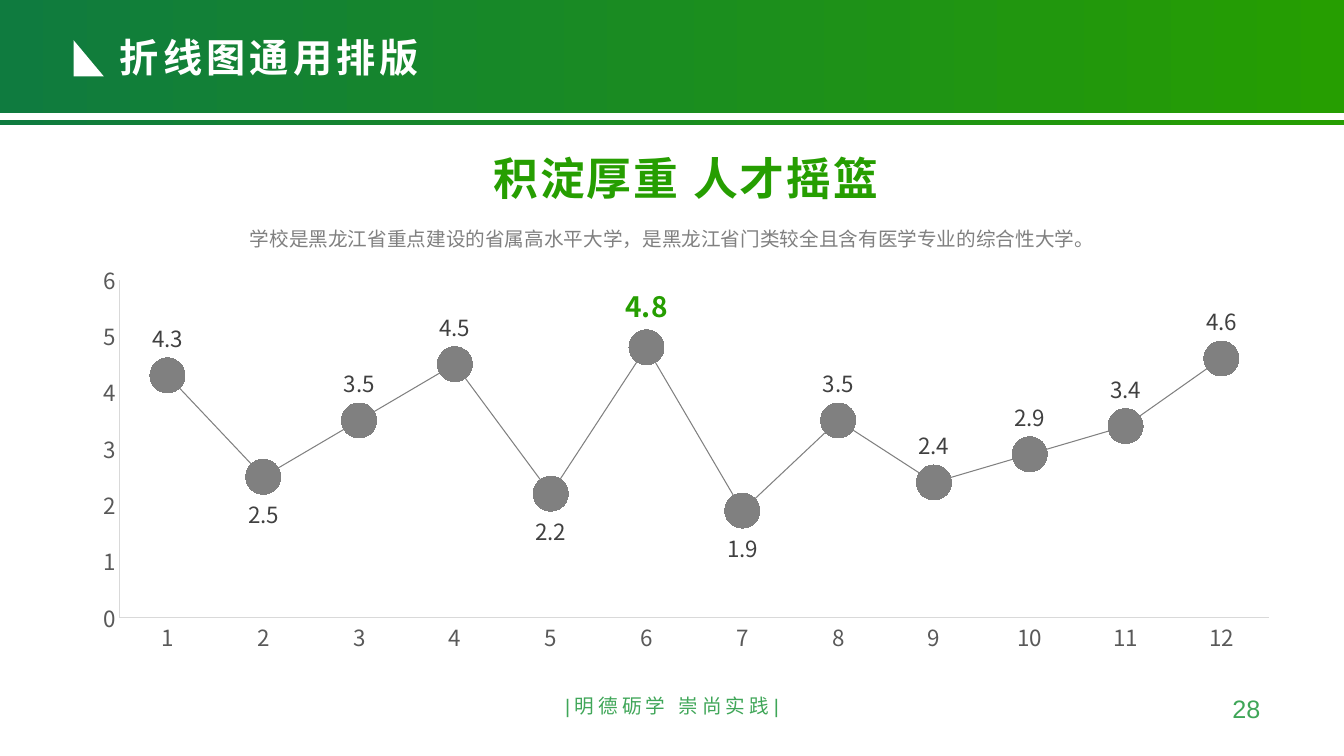
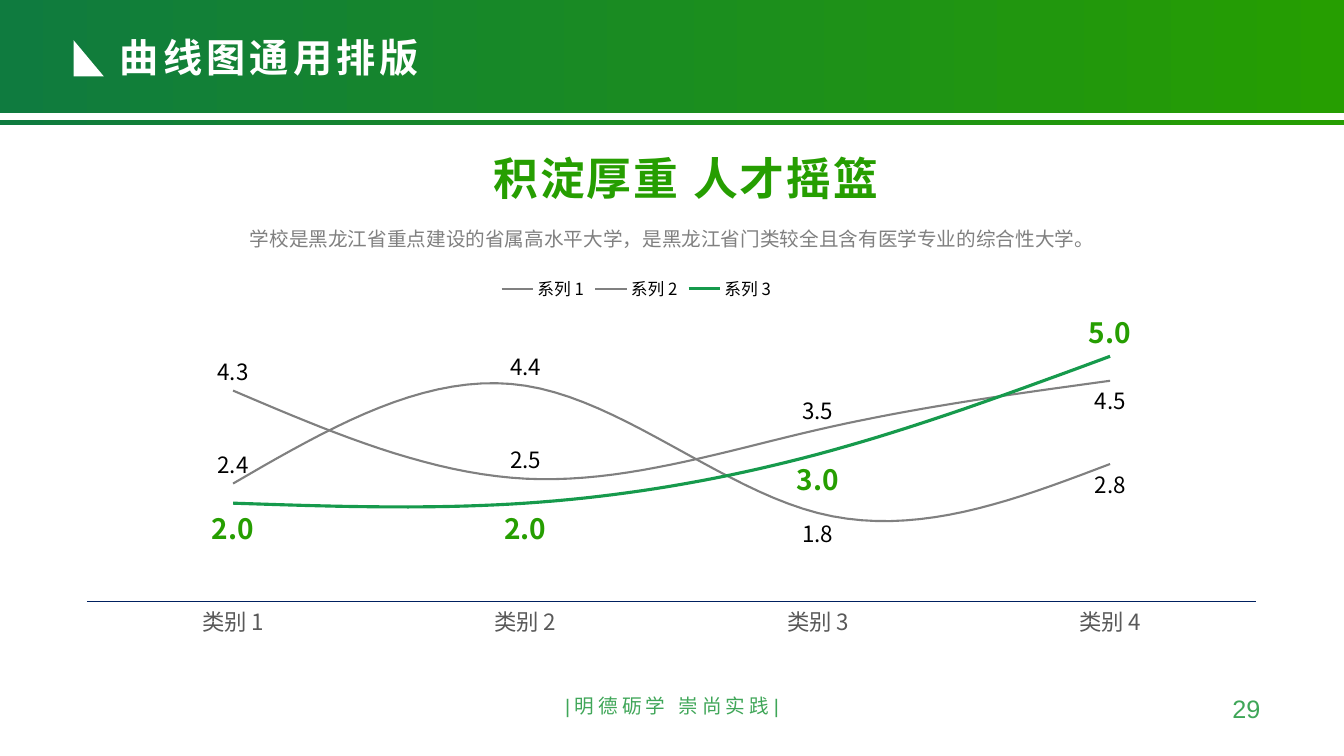
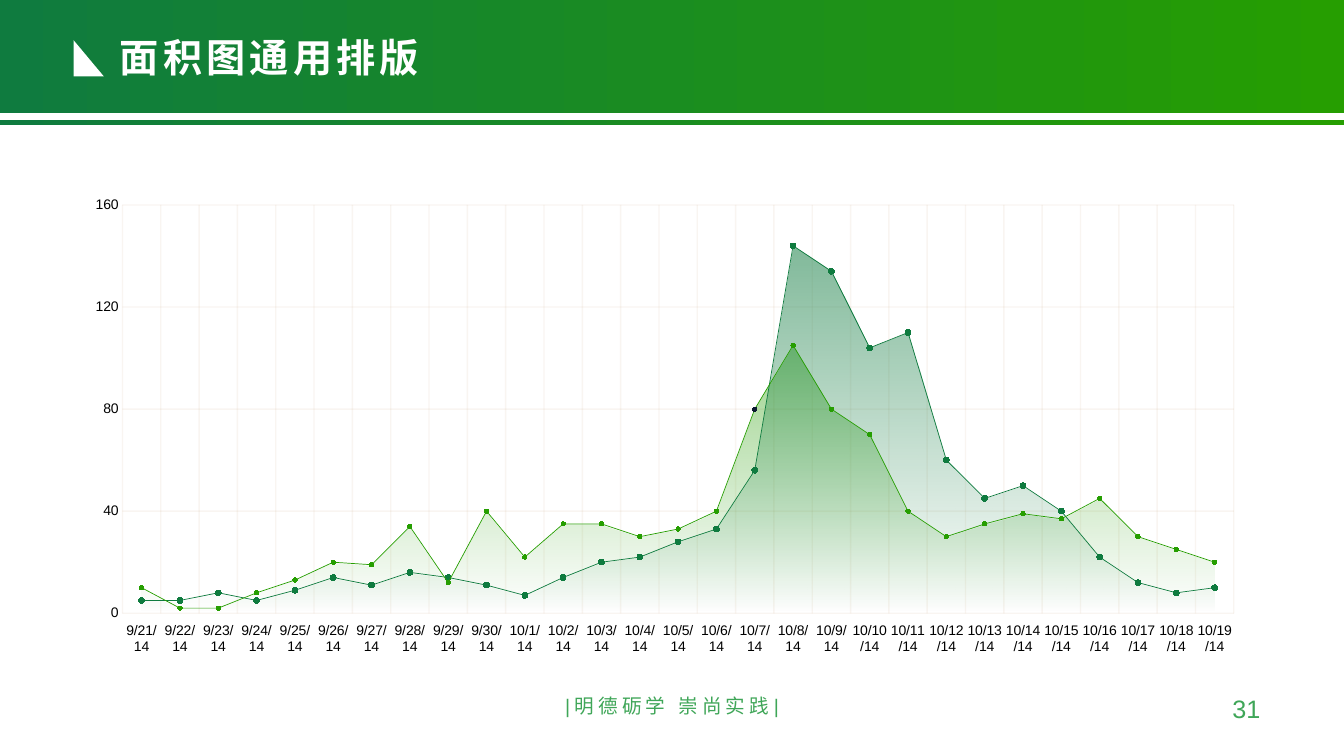
import copy
from dataclasses import dataclass

import pptx
import pptx.chart.data
import pptx.dml.color
import pptx.enum.chart
import pptx.enum.shapes
import pptx.enum.text
import pptx.oxml
import pptx.oxml.ns
import pptx.util
from lxml import etree
from pptx.util import Cm, Pt

qn = pptx.oxml.ns.qn
ABOVE = pptx.enum.chart.XL_LABEL_POSITION.ABOVE
BELOW = pptx.enum.chart.XL_LABEL_POSITION.BELOW
LINE = pptx.enum.chart.XL_CHART_TYPE.LINE
LINE_MARKERS = pptx.enum.chart.XL_CHART_TYPE.LINE_MARKERS
LEFT = pptx.enum.text.PP_ALIGN.LEFT
CENTER = pptx.enum.text.PP_ALIGN.CENTER
RIGHT = pptx.enum.text.PP_ALIGN.RIGHT


@dataclass(frozen=True)
class Theme:
    lime: str = "269E01"
    forest: str = "0F7B3F"
    curve: str = "169A4C"
    footer: str = "3FA658"
    gray: str = "808080"
    label: str = "404040"
    tick: str = "595959"
    rule: str = "D9D9D9"
    navy: str = "002060"
    grid: str = "C5A078"
    black: str = "000000"
    white: str = "FFFFFF"
    pale_blue: str = "7FAED6"
    dark_dot: str = "0B1A30"
    sans: str = "Noto Sans CJK SC"
    latin: str = "Arial"
    headline_size: int = 32
    title_size: int = 28
    accent_size: int = 20
    number_size: int = 18
    chart_size: int = 16
    body_size: int = 14
    legend_size: int = 12
    small_size: int = 10


THEME = Theme()

SLIDE_SIZE = (33.87, 19.05)
BAND_BOX = (0, 0, SLIDE_SIZE[0], 2.85)
STRIPE_BOX = (0, 3.02, SLIDE_SIZE[0], 0.13)
TRIANGLE_BOX = (1.78, 1.09, 0.91, 0.76)
TITLE_BOX = (3.02, 0.84, 22.15, 1.19)
HEADLINE_BOX = (11.71, 3.63, 10.44, 1.68)
SUBTITLE_BOX = (6.2, 5.41, 21.49, 1.14)
MOTTO_BOX = (11.22, 17.35, 11.43, 1.02)
NUMBER_BOX = (23.93, 17.35, 8.08, 1.02)

HEADLINE = "积淀厚重 人才摇篮"
SUBTITLE = "学校是黑龙江省重点建设的省属高水平大学，是黑龙江省门类较全且含有医学专业的综合性大学。"
MOTTO = "|明德砺学 崇尚实践|"

MONTHS = [str(month) for month in range(1, 13)]
MONTHLY = [("Series 1", [4.3, 2.5, 3.5, 4.5, 2.2, 4.8, 1.9, 3.5, 2.4, 2.9, 3.4, 4.6])]
MONTHLY_LOWS = (1, 4, 6)
MONTHLY_PEAK = 5

CATEGORIES = [f"类别 {number}" for number in range(1, 5)]
CURVES = [
    ("系列 1", [4.3, 2.5, 3.5, 4.5]),
    ("系列 2", [2.4, 4.4, 1.8, 2.8]),
    ("系列 3", [2, 2, 3, 5]),
]
# colour, line width, label colour, label size, bold, usual label side, points on the other side
CURVE_STYLES = [
    (THEME.gray, 1.5, THEME.black, THEME.chart_size, False, ABOVE, (3,)),
    (THEME.gray, 1.5, THEME.black, THEME.chart_size, False, ABOVE, (2, 3)),
    (THEME.curve, 2.25, THEME.lime, THEME.accent_size, True, BELOW, (3,)),
]

DATES = [f"9/{day}/14" for day in range(21, 31)] + [f"10/{day}/14" for day in range(1, 20)]
FOREST_VALUES = [5, 5, 8, 5, 9, 14, 11, 16, 14, 11, 7, 14, 20, 22, 28, 33, 56, 144, 134, 104,
                 110, 60, 45, 50, 40, 22, 12, 8, 10]
LIME_VALUES = [10, 2, 2, 8, 13, 20, 19, 34, 12, 40, 22, 35, 35, 30, 33, 40, 80, 105, 80, 70,
               40, 30, 35, 39, 37, 45, 30, 25, 20]
DAILY = [("Series 1", FOREST_VALUES), ("Series 2", LIME_VALUES),
         ("Series 3", FOREST_VALUES), ("Series 4", LIME_VALUES)]
AREA_STYLES = [(THEME.forest, 53), (THEME.lime, 45)]
OUTLINE_STYLES = [(THEME.forest, THEME.forest, 4), (THEME.lime, THEME.pale_blue, 3)]
DARK_POINT = DATES.index("10/7/14")


def rgb(color):
    return pptx.dml.color.RGBColor.from_string(color)


def cm_box(box):
    return [Cm(length) for length in box]


def set_font(font, size, color=None, bold=False, name=THEME.sans, spacing=0):
    font.name, font.size, font.bold = name, Pt(size), bold
    if color:
        font.color.rgb = rgb(color)
    properties = font._element
    if properties.find(qn("a:ea")) is None:
        east_asian = etree.Element(qn("a:ea"), typeface=THEME.sans)
        properties.find(qn("a:latin")).addnext(east_asian)
    if spacing:
        properties.set("spc", str(int(spacing * 100)))


def set_alpha(color_element, percent):
    etree.SubElement(color_element, qn("a:alpha"), val=str(percent * 1000))


def set_gradient(fill, start, end, angle):
    fill.gradient()
    fill.gradient_angle = angle
    for stop, color, position in zip(fill.gradient_stops, (start, end), (0, 1)):
        stop.color.rgb = rgb(color)
        stop.position = position


def add_shape(slide, kind, box):
    shape = slide.shapes.add_shape(kind, *cm_box(box))
    shape.shadow.inherit = False
    shape.line.fill.background()
    return shape


def add_text(slide, box, text, size, color=None, align=LEFT, inset=True, **font_options):
    shape = slide.shapes.add_textbox(*cm_box(box))
    frame = shape.text_frame
    frame.word_wrap = True
    if not inset:
        frame.margin_left = frame.margin_top = frame.margin_right = frame.margin_bottom = 0
    paragraph = frame.paragraphs[0]
    paragraph.text = text
    paragraph.alignment = align
    set_font(paragraph.font, size, color, **font_options)
    return frame


def add_page(presentation, title, number):
    """Add a slide with the band, title, motto and number that all slides share."""
    slide = presentation.slides.add_slide(presentation.slide_layouts[6])
    kinds = pptx.enum.shapes.MSO_SHAPE
    for box in (BAND_BOX, STRIPE_BOX):
        band = add_shape(slide, kinds.RECTANGLE, box)
        set_gradient(band.fill, THEME.lime, THEME.forest, 180)
    triangle = add_shape(slide, kinds.ISOSCELES_TRIANGLE, TRIANGLE_BOX)
    triangle.adjustments[0] = 1
    triangle.rotation = 90
    triangle.fill.solid()
    triangle.fill.fore_color.rgb = rgb(THEME.white)

    frame = add_text(slide, TITLE_BOX, title, THEME.title_size, THEME.white,
                     inset=False, bold=True, spacing=3)
    frame.auto_size = pptx.enum.text.MSO_AUTO_SIZE.SHAPE_TO_FIT_TEXT
    add_text(slide, NUMBER_BOX, str(number), THEME.number_size, THEME.footer, RIGHT,
             name=THEME.latin)
    add_text(slide, MOTTO_BOX, MOTTO, THEME.body_size, THEME.footer, CENTER,
             name=THEME.latin, spacing=3)
    return slide


def add_headline(slide):
    frame = add_text(slide, SUBTITLE_BOX, SUBTITLE, THEME.body_size, THEME.gray, CENTER,
                     inset=False)
    frame.paragraphs[0].line_spacing = 1.5
    frame = add_text(slide, HEADLINE_BOX, HEADLINE, THEME.headline_size, align=RIGHT,
                     inset=False, bold=True, spacing=1.5)
    frame.vertical_anchor = pptx.enum.text.MSO_ANCHOR.MIDDLE
    set_gradient(frame.paragraphs[0].font.fill, THEME.lime, THEME.forest, 270)


def set_layout(parent, index, **fractions):
    """Place a plot area or legend by fractions of the chart."""
    for old in parent.findall(qn("c:layout")):
        parent.remove(old)
    layout = etree.Element(qn("c:layout"))
    manual = etree.SubElement(layout, qn("c:manualLayout"))
    if "w" in fractions:
        etree.SubElement(manual, qn("c:layoutTarget"), val="inner")
    for axis in "xy":
        etree.SubElement(manual, qn(f"c:{axis}Mode"), val="edge")
    for key, value in fractions.items():
        etree.SubElement(manual, qn(f"c:{key}"), val=str(value))
    parent.insert(index, layout)


def add_chart(slide, kind, box, plot_box, categories, rows, number_format, size, name=THEME.sans):
    data = pptx.chart.data.CategoryChartData(number_format=number_format)
    data.categories = categories
    for series_name, values in rows:
        data.add_series(series_name, values)
    chart = slide.shapes.add_chart(kind, *cm_box(box), data).chart
    chart.has_title = False
    chart.has_legend = False
    chart.plots[0].vary_by_categories = False
    set_font(chart.font, size, THEME.black, name=name)
    plot_area = chart._chartSpace.chart.plotArea
    set_layout(plot_area, 0, **dict(zip("xywh", plot_box)))

    value_axis = chart.value_axis._element
    for old in value_axis.findall(qn("c:crossBetween")):
        value_axis.remove(old)
    crossing = etree.Element(qn("c:crossBetween"), val="between")
    value_axis.xpath("c:crosses|c:crossAx")[-1].addnext(crossing)
    return chart


def style_axis(axis, size, color, name=THEME.sans, line=None):
    """Style tick labels and the axis line, given as (colour, width) or None."""
    none = pptx.enum.chart.XL_TICK_MARK.NONE
    axis.major_tick_mark = axis.minor_tick_mark = none
    axis.has_major_gridlines = False
    set_font(axis.tick_labels.font, size, color, name=name)
    axis._element.find(qn("c:txPr")).find(qn("a:bodyPr")).set("rot", "0")
    if line:
        style_line(axis.format.line, *line)
    else:
        axis.format.line.fill.background()


def style_value_scale(axis, maximum, unit):
    axis.minimum_scale, axis.maximum_scale, axis.major_unit = 0, maximum, unit
    axis.tick_labels.number_format = "0"
    axis.tick_labels.number_format_is_linked = False


def style_line(line, color, width):
    line.color.rgb = rgb(color)
    line.width = Pt(width)


def style_marker(marker, color, size):
    marker.style = pptx.enum.chart.XL_MARKER_STYLE.CIRCLE
    marker.size = size
    marker.format.fill.solid()
    marker.format.fill.fore_color.rgb = rgb(color)
    marker.format.line.fill.background()


def label_series(series, position, size, color, bold=False):
    labels = series.data_labels
    labels.show_value = True
    labels.position = position
    labels.number_format = "0.0"
    labels.number_format_is_linked = False
    set_font(labels.font, size, color, bold)


def label_point(series, index, position, size, color, bold=False):
    label = series.points[index].data_label
    set_font(label.font, size, color, bold)
    label.position = position


def add_line_slide(presentation):
    slide = add_page(presentation, "折线图通用排版", 28)
    chart = add_chart(slide, LINE_MARKERS, (1.9, 6.65, 30.1, 9.86), (0.037, 0.037, 0.963, 0.867),
                      MONTHS, MONTHLY, "0.0", THEME.small_size)
    for axis in (chart.category_axis, chart.value_axis):
        style_axis(axis, THEME.chart_size, THEME.tick, line=(THEME.rule, 0.75))
    style_value_scale(chart.value_axis, 6, 1)
    series = chart.plots[0].series[0]
    series.smooth = False
    style_line(series.format.line, THEME.gray, 0.75)
    style_marker(series.marker, THEME.lime, 25)
    label_series(series, ABOVE, THEME.chart_size, THEME.label)
    for index in MONTHLY_LOWS:
        label_point(series, index, BELOW, THEME.chart_size, THEME.label)
    label_point(series, MONTHLY_PEAK, ABOVE, THEME.accent_size, THEME.lime, True)
    add_headline(slide)


def add_curve_slide(presentation):
    slide = add_page(presentation, "曲线图通用排版", 29)
    chart = add_chart(slide, LINE, (2.18, 6.45, 29.49, 10.13), (0, 0.128, 1, 0.731),
                      CATEGORIES, CURVES, "0.0", THEME.legend_size)
    style_axis(chart.category_axis, THEME.chart_size, THEME.tick, line=(THEME.navy, 0.5))
    style_axis(chart.value_axis, THEME.legend_size, THEME.black)
    style_value_scale(chart.value_axis, 6, 1)
    chart.value_axis.tick_label_position = pptx.enum.chart.XL_TICK_LABEL_POSITION.NONE
    chart.has_legend = True
    chart.legend.position = pptx.enum.chart.XL_LEGEND_POSITION.TOP
    chart.legend.include_in_layout = False
    set_font(chart.legend.font, THEME.legend_size, THEME.black)
    set_layout(chart.legend._element, 1, x=0.35, y=0.04)
    for series, style in zip(chart.plots[0].series, CURVE_STYLES):
        color, width, label_color, size, bold, side, flipped = style
        series.smooth = True
        style_line(series.format.line, color, width)
        label_series(series, side, size, label_color, bold)
        other_side = BELOW if side == ABOVE else ABOVE
        for index in flipped:
            label_point(series, index, other_side, size, label_color, bold)
    add_headline(slide)


def move_to_area_plot(all_series):
    """Turn line series into an area plot behind the lines, on the same axes."""
    line_plot = all_series[0]._element.getparent()
    area_plot = pptx.oxml.parse_xml(
        f'<c:areaChart {pptx.oxml.ns.nsdecls("c")}><c:grouping val="standard"/>'
        '<c:varyColors val="0"/></c:areaChart>')
    line_plot.addprevious(area_plot)
    for series in all_series:
        element = series._element
        for tag in ("c:marker", "c:smooth"):
            for child in element.findall(qn(tag)):
                element.remove(child)
        area_plot.append(element)
    for axis_id in line_plot.findall(qn("c:axId")):
        area_plot.append(copy.deepcopy(axis_id))


def add_area_slide(presentation):
    slide = add_page(presentation, "面积图通用排版", 31)
    chart = add_chart(slide, LINE_MARKERS, (1.85, 4.55, 30.15, 11.94),
                      (0.041, 0.052, 0.929, 0.869), DATES, DAILY, "General",
                      THEME.small_size, THEME.latin)
    for axis in (chart.category_axis, chart.value_axis):
        style_axis(axis, THEME.small_size, THEME.black, THEME.latin)
        axis.has_major_gridlines = True
        style_line(axis.major_gridlines.format.line, THEME.grid, 1)
        gridlines = axis._element.find(qn("c:majorGridlines"))
        set_alpha(next(gridlines.iter(qn("a:srgbClr"))), 10)
    chart.category_axis.tick_label_position = pptx.enum.chart.XL_TICK_LABEL_POSITION.LOW
    style_value_scale(chart.value_axis, 160, 40)

    all_series = list(chart.plots[0].series)
    areas, outlines = all_series[:2], all_series[2:]
    for series, (color, opacity) in zip(areas, AREA_STYLES):
        set_gradient(series.format.fill, color, color, 90)
        series.format.line.fill.background()
        stops = series._element.iter(qn("a:srgbClr"))
        for stop, percent in zip(list(stops), (0, opacity)):
            set_alpha(stop, percent)
    for series, (color, dot_color, dot_size) in zip(outlines, OUTLINE_STYLES):
        series.smooth = False
        style_line(series.format.line, color, 0.5)
        style_marker(series.marker, dot_color, dot_size)
    point = outlines[1].points[DARK_POINT]
    style_marker(point.marker, THEME.dark_dot, OUTLINE_STYLES[1][2])
    style_line(point.format.line, THEME.dark_dot, 0.5)
    move_to_area_plot(areas)


def main():
    presentation = pptx.Presentation()
    presentation.slide_width, presentation.slide_height = cm_box(SLIDE_SIZE)
    add_line_slide(presentation)
    add_curve_slide(presentation)
    add_area_slide(presentation)
    presentation.save("out.pptx")


if __name__ == "__main__":
    main()
